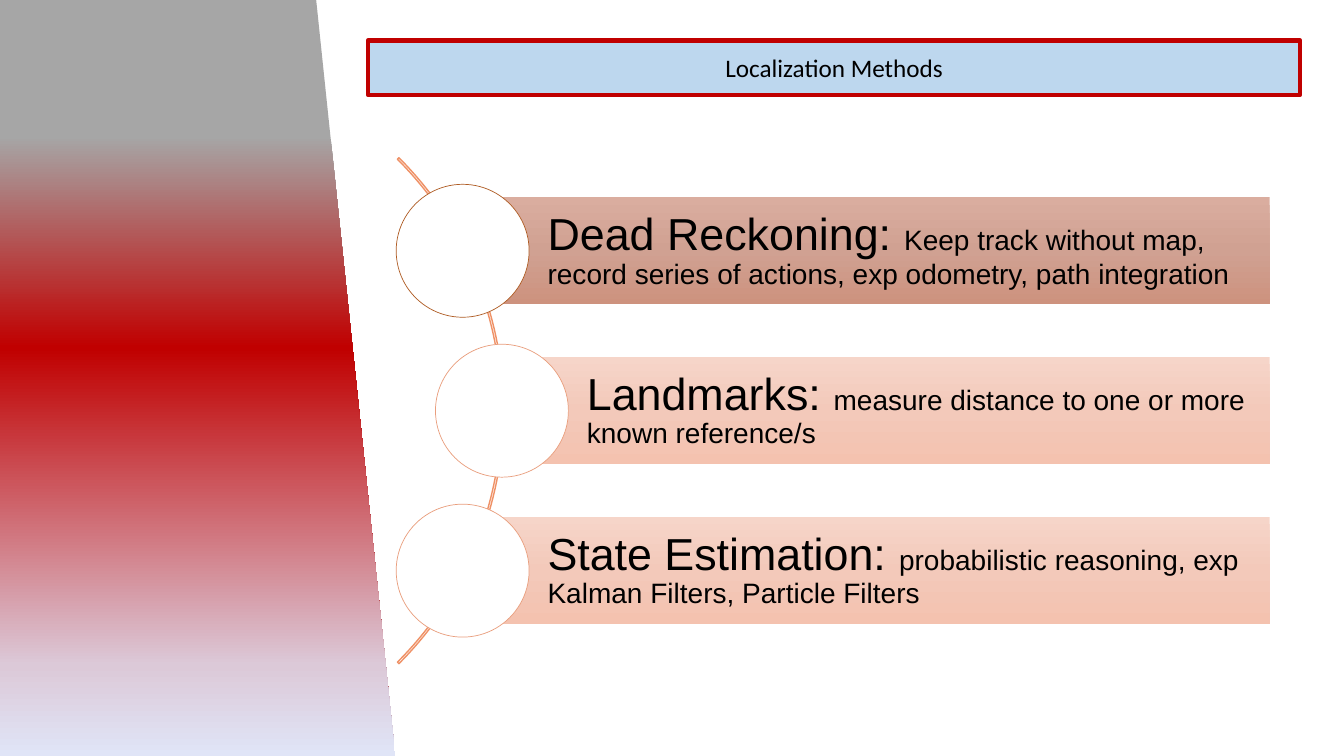
import pptx
import pptx.util
from lxml import etree
from pptx.dml.color import RGBColor
from pptx.enum.shapes import MSO_SHAPE
from pptx.enum.text import MSO_ANCHOR, PP_ALIGN
from pptx.oxml.ns import qn
from pptx.util import Cm, Pt

# Colours
BLACK = RGBColor(0x00, 0x00, 0x00)
WHITE = RGBColor(0xFF, 0xFF, 0xFF)
RED = RGBColor(0xC0, 0x00, 0x00)
PALE_BLUE = RGBColor(0xBD, 0xD7, 0xEE)
ORANGE = RGBColor(0xEF, 0x91, 0x66)
BROWN = RGBColor(0xAF, 0x5C, 0x24)
PEACH = RGBColor(0xE9, 0x9E, 0x7D)
PANEL_STOPS = [
    (18, RGBColor(0xA6, 0xA6, 0xA6)),
    (46, RED),
    (88, RGBColor(0xDC, 0xC9, 0xD8)),
    (100, RGBColor(0xE0, 0xE5, 0xF7)),
]
DARK_STOPS = [
    (0, RGBColor(0xDA, 0xAD, 0x9F)),
    (50, RGBColor(0xD0, 0xA1, 0x92)),
    (100, RGBColor(0xCD, 0x92, 0x7E)),
]
LIGHT_STOPS = [
    (0, RGBColor(0xF6, 0xD5, 0xC9)),
    (50, RGBColor(0xF3, 0xC9, 0xBA)),
    (100, RGBColor(0xF4, 0xC2, 0xAF)),
]

# Content: heading, detail, bar left in cm, bar gradient, circle outline
TITLE = "Localization Methods"
METHODS = [
    ("Dead Reckoning: ",
     "Keep track without map, record series of actions, exp odometry, path integration",
     11.66, DARK_STOPS, BROWN),
    ("Landmarks: ", "measure distance to one or more known reference/s",
     12.65, LIGHT_STOPS, PEACH),
    ("State Estimation: ",
     "probabilistic reasoning, exp Kalman Filters, Particle Filters",
     11.66, LIGHT_STOPS, PEACH),
]

# Layout in cm
SLIDE_WIDTH, SLIDE_HEIGHT = 33.87, 19.05
PANEL_WIDTH = 9.96
MIDDLE = 10.35
ROW_PITCH = 4.03
BAR_RIGHT, BAR_HEIGHT = 32.0, 2.7
CIRCLE = 3.35
ARC_CENTER, ARC_SIZE = 3.68, 18.03


def add_shape(slide, kind, left, top, width, height, fill=None, line=None, weight=1):
    shape = slide.shapes.add_shape(kind, Cm(left), Cm(top), Cm(width), Cm(height))
    shape.shadow.inherit = False
    if fill is None:
        shape.fill.background()
    else:
        shape.fill.solid()
        shape.fill.fore_color.rgb = fill
    if line is None:
        shape.line.fill.background()
    else:
        shape.line.color.rgb = line
        shape.line.width = Pt(weight)
    return shape


def set_gradient(shape, stops, angle):
    shape.fill.gradient()
    shape.fill.gradient_angle = angle
    stop_list = shape._element.spPr.find(qn("a:gradFill")).find(qn("a:gsLst"))
    for old_stop in list(stop_list):
        stop_list.remove(old_stop)
    for position, color in stops:
        stop = etree.SubElement(stop_list, qn("a:gs"), pos=str(position * 1000))
        etree.SubElement(stop, qn("a:srgbClr"), val=str(color))


def add_span(para, text, size, font):
    span = para.add_run()
    span.text = text
    span.font.size = Pt(size)
    span.font.name = font
    span.font.color.rgb = BLACK


deck = pptx.Presentation()
deck.slide_width, deck.slide_height = Cm(SLIDE_WIDTH), Cm(SLIDE_HEIGHT)
slide = deck.slides.add_slide(deck.slide_layouts[6])

# Slanted side panel, turned a quarter so its slope faces right
offset = (SLIDE_HEIGHT - PANEL_WIDTH) / 2
panel = add_shape(slide, MSO_SHAPE.FLOWCHART_MANUAL_INPUT,
                  -offset, offset, SLIDE_HEIGHT, PANEL_WIDTH)
panel.rotation = 90
set_gradient(panel, PANEL_STOPS, 0)

# Title
title = add_shape(slide, MSO_SHAPE.RECTANGLE, 9.27, 1.02, 23.5, 1.37, PALE_BLUE, RED, 3)
title.text_frame.vertical_anchor = MSO_ANCHOR.MIDDLE
para = title.text_frame.paragraphs[0]
para.alignment = PP_ALIGN.CENTER
add_span(para, TITLE, 18, "Calibri")

# Arc behind the methods
arc = add_shape(slide, MSO_SHAPE.BLOCK_ARC, ARC_CENTER - ARC_SIZE / 2,
                MIDDLE - ARC_SIZE / 2, ARC_SIZE, ARC_SIZE, line=ORANGE)
for index, value in enumerate((189, 27, 0.003)):
    arc.adjustments[index] = value

# Methods: a bar with text, and a circle centred on its left edge
for row, (heading, detail, left, stops, outline) in enumerate(METHODS):
    center = MIDDLE + (row - 1) * ROW_PITCH
    bar = add_shape(slide, MSO_SHAPE.RECTANGLE, left, center - BAR_HEIGHT / 2,
                    BAR_RIGHT - left, BAR_HEIGHT)
    set_gradient(bar, stops, 270)
    frame = bar.text_frame
    frame.word_wrap = True
    frame.vertical_anchor = MSO_ANCHOR.MIDDLE
    frame.margin_left = Cm(2.14)
    frame.margin_top = frame.margin_right = frame.margin_bottom = Cm(0.23)
    para = frame.paragraphs[0]
    para.alignment = PP_ALIGN.LEFT
    para.line_spacing = 0.9
    add_span(para, heading, 32, "Arial")
    add_span(para, detail, 20, "Arial")
    add_shape(slide, MSO_SHAPE.OVAL, left - CIRCLE / 2, center - CIRCLE / 2,
              CIRCLE, CIRCLE, WHITE, outline, 0.5)

deck.save("out.pptx")
